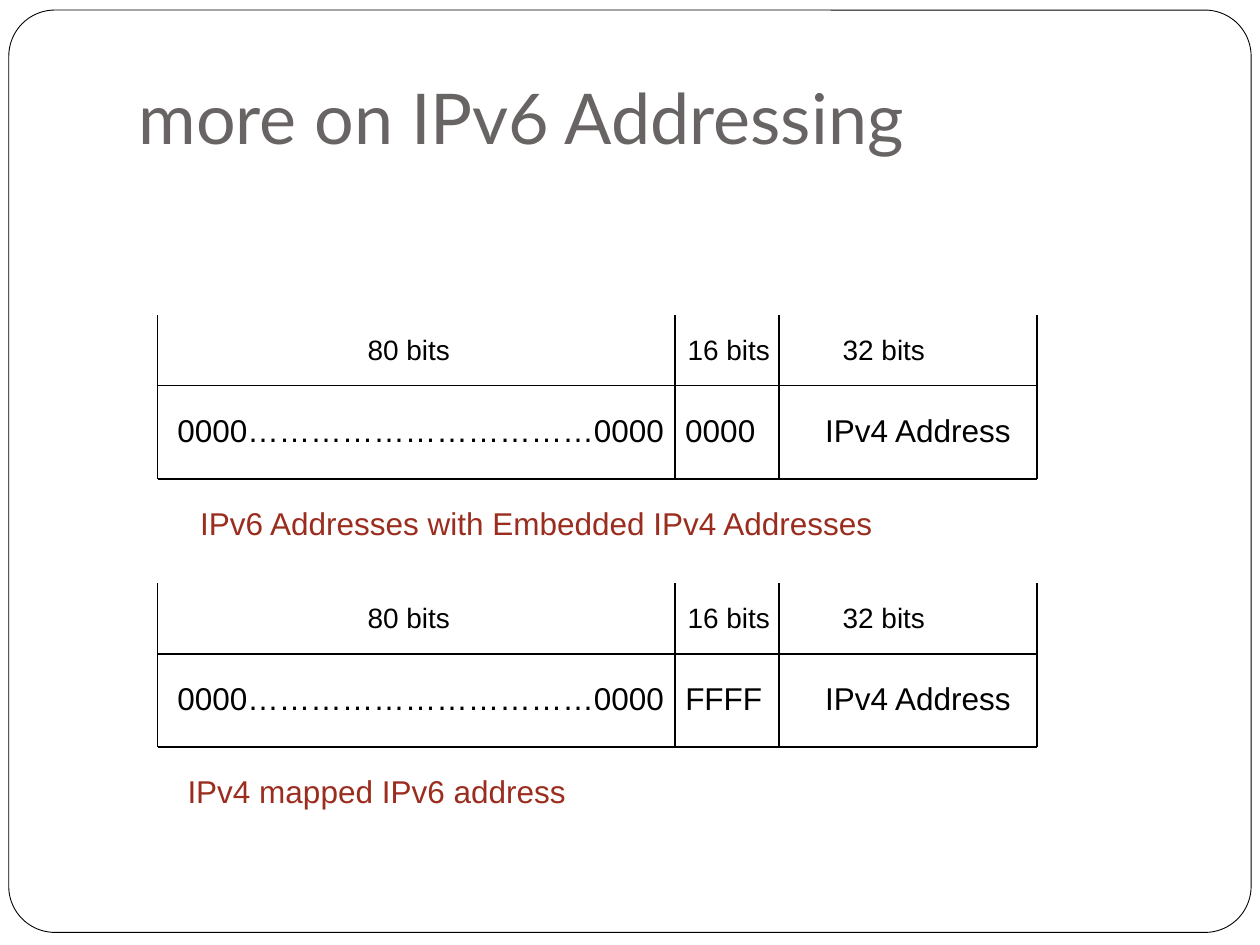
from lxml.etree import SubElement
from pptx import Presentation
from pptx.dml.color import RGBColor
from pptx.enum.shapes import MSO_CONNECTOR as Connector, MSO_SHAPE as Shape
from pptx.enum.text import MSO_ANCHOR as Anchor, MSO_AUTO_SIZE as AutoSize, PP_ALIGN as Align
from pptx.oxml.ns import qn
from pptx.util import Inches, Pt

BLACK, WHITE, GRAY, RED = "000000", "FFFFFF", "696464", "9B2D1F"
ZEROS = "0000……………………………0000"


def color(value):
    """Turn a hex string into a colour."""
    return RGBColor.from_string(value)


def style_font(para, name, size, value):
    """Set the typeface, size and colour of a paragraph."""
    para.font.name = name
    para.font.size = Pt(size)
    para.font.color.rgb = color(value)


def add_frame(page, left, top, width, height):
    """Place the rounded page border behind everything else."""
    frame = page.shapes.add_shape(
        Shape.ROUNDED_RECTANGLE, Inches(left), Inches(top), Inches(width), Inches(height))
    frame.adjustments[0] = 0.05
    frame.shadow.inherit = False
    frame.fill.solid()
    frame.fill.fore_color.rgb = color(WHITE)
    frame.line.color.rgb = color(BLACK)
    frame.line.width = Pt(0.5)
    page.shapes._spTree.insert(2, frame._element)


def add_title(page, text, left, top, width, height):
    """Move and format the title placeholder."""
    title = page.shapes.title
    title.left, title.top = Inches(left), Inches(top)
    title.width, title.height = Inches(width), Inches(height)
    title.text_frame.text = text
    title.text_frame.vertical_anchor = Anchor.MIDDLE
    para = title.text_frame.paragraphs[0]
    para.alignment = Align.LEFT
    style_font(para, "Lato", 40, GRAY)


def add_rule(shapes, x1, y1, x2, y2):
    """Draw a thin black straight line."""
    rule = shapes.add_connector(
        Connector.STRAIGHT, Inches(x1), Inches(y1), Inches(x2), Inches(y2))
    rule.line.color.rgb = color(BLACK)
    rule.line.width = Pt(1)
    SubElement(rule._element.spPr, qn("a:effectLst"))


def add_label(shapes, text, left, top, width, size=18, value=BLACK):
    """Place one line of text."""
    height = 0.37 if size == 16 else 0.4
    box = shapes.add_textbox(Inches(left), Inches(top), Inches(width), Inches(height))
    frame = box.text_frame
    frame.word_wrap = False
    frame.auto_size = AutoSize.SHAPE_TO_FIT_TEXT
    frame.text = text
    style_font(frame.paragraphs[0], "Arial", size, value)


def add_address_layout(page, left, top, width, height, middle, caption):
    """Draw an address split into 80, 16 and 32 bits with its caption."""
    shapes = page.shapes.add_group_shape().shapes
    right, bottom = left + width, top + height
    for y in (top + 0.56, bottom):
        add_rule(shapes, left, y, right, y)
    for offset in (0, 4.11, 4.93, width):
        add_rule(shapes, left + offset, bottom, left + offset, top)
    for text, offset in (("80 bits", 1.57), ("16 bits", 4.11), ("32 bits", 5.34)):
        add_label(shapes, text, left + offset, top + 0.09, 0.86, 16)
    middle_text, middle_width = middle
    for text, offset, label_width in (
            (ZEROS, 0.06, 4.06), (middle_text, 4.09, middle_width), ("IPv4 Address", 5.2, 1.69)):
        add_label(shapes, text, left + offset, top + 0.71, label_width)
    caption_text, caption_offset, caption_width = caption
    add_label(shapes, caption_text, left + caption_offset, bottom + 0.15, caption_width, value=RED)


def main():
    """Build the slide and save it."""
    deck = Presentation()
    deck.slide_width, deck.slide_height = Inches(10), Inches(7.5)
    page = deck.slides.add_slide(deck.slide_layouts[5])
    add_frame(page, 0.07, 0.08, 9.86, 7.32)
    add_title(page, "more on IPv6 Addressing", 1, 0.3, 8.5, 1.25)
    layouts = (
        (("0000", 0.76), ("IPv6 Addresses with Embedded IPv4 Addresses", 0.24, 5.57)),
        (("FFFF", 0.81), ("IPv4 mapped IPv6 address", 0.14, 3.2)),
    )
    for row, (middle, caption) in enumerate(layouts):
        add_address_layout(page, 1.25, 2.5 + 2.13 * row, 6.98, 1.3, middle, caption)
    deck.save("out.pptx")


if __name__ == "__main__":
    main()
